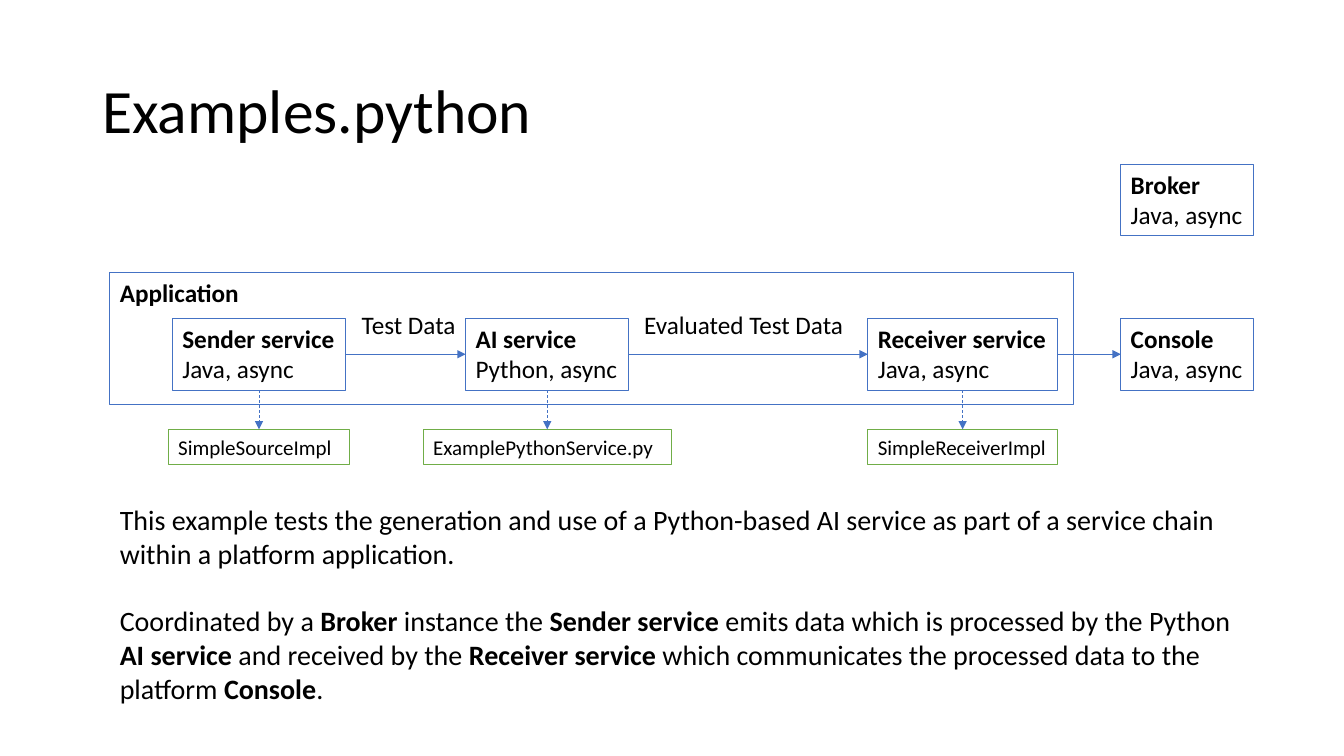
"""Build the Examples.python service chain slide."""
from dataclasses import dataclass
from typing import Any

from lxml.etree import SubElement
from pptx import Presentation
from pptx.dml.color import RGBColor
from pptx.enum.dml import MSO_LINE as Dash
from pptx.enum.shapes import MSO_CONNECTOR as Connector, MSO_SHAPE as Shape
from pptx.enum.text import MSO_ANCHOR as Anchor, PP_ALIGN as Align
from pptx.oxml.ns import qn
from pptx.util import Pt

BLACK = RGBColor(0x00, 0x00, 0x00)
BLUE = RGBColor(0x44, 0x72, 0xC4)
GREEN = RGBColor(0x70, 0xAD, 0x47)

BOTTOM, TOP, LEFT, RIGHT = 2, 0, 1, 3
SERVICE_TOP, SERVICE_HEIGHT = 227.5, 51.1
IMPL_TOP, IMPL_HEIGHT = 306.7, 25.2

Span = tuple[str, bool]


@dataclass(frozen=True)
class Service:
    """A service box with an optional implementation box below it."""
    name: str
    language: str
    left: float
    width: float
    top: float = SERVICE_TOP
    impl: str = ""
    impl_width: float = 0


@dataclass(frozen=True)
class Label:
    """A plain text area."""
    paragraphs: list[list[Span]]
    left: float
    top: float
    width: float
    height: float
    size: float
    wrap: bool = True
    anchor: Any = Anchor.TOP
    line_spacing: float = 1.0
    gap: float = 0


BROKER = Service("Broker", "Java", 800.6, 95, top=117.4)
CHAIN = [
    Service("Sender service", "Java", 123.1, 123.8, impl="SimpleSourceImpl", impl_width=129.6),
    Service("AI service", "Python", 332.6, 116.7, impl="ExamplePythonService.py", impl_width=177.1),
    Service("Receiver service", "Java", 619.9, 135.4, impl="SimpleReceiverImpl", impl_width=135.4),
    Service("Console", "Java", 800.6, 95),
]
LABELS = [
    Label([[("Examples.python", False)]], 66, 28.8, 828, 104.4, 44,
          anchor=Anchor.MIDDLE, line_spacing=0.9),
    Label([[("Test Data", False)]], 251.3, 217.6, 82, 29, 18, wrap=False),
    Label([[("Evaluated Test Data", False)]], 453, 217.6, 158, 29, 18, wrap=False),
    Label([
        [("This example tests the generation and use of a Python-based AI service "
          "as part of a service chain within a platform application.", False)],
        [("Coordinated by a ", False), ("Broker", True), (" instance the ", False),
         ("Sender service", True), (" emits data which is processed by the Python ", False),
         ("AI service", True), (" and received by the ", False), ("Receiver service", True),
         (" which communicates the processed data to the platform ", False),
         ("Console", True), (".", False)],
    ], 78.5, 355.7, 817, 152.6, 20, gap=24),
]


def apply(target: Any, values: dict[str, Any]) -> None:
    """Set each named attribute on the target."""
    for name, value in values.items():
        setattr(target, name, value)


def write(box: Any, paragraphs: list[list[Span]], size: float, wrap: bool = True,
          anchor: Any = Anchor.TOP, line_spacing: float = 1.0, gap: float = 0) -> None:
    """Fill a box with left-aligned paragraphs."""
    frame = box.text_frame
    apply(frame, {"word_wrap": wrap, "vertical_anchor": anchor})
    for index, spans in enumerate(paragraphs):
        para = frame.add_paragraph() if index else frame.paragraphs[0]
        apply(para, {"alignment": Align.LEFT, "line_spacing": line_spacing,
                     "space_before": Pt(gap if index else 0)})
        for text, bold in spans:
            span = para.add_run()
            span.text = text
            apply(span.font, {"name": "Calibri", "size": Pt(size), "bold": bold})
            span.font.color.rgb = BLACK


def add_box(page: Any, left: float, top: float, width: float, height: float,
            colour: RGBColor) -> Any:
    """Add an unfilled outlined rectangle."""
    box = page.shapes.add_shape(Shape.RECTANGLE, Pt(left), Pt(top), Pt(width), Pt(height))
    box.shadow.inherit = False
    box.fill.background()
    box.line.color.rgb = colour
    box.line.width = Pt(0.75)
    return box


def add_label(page: Any, label: Label) -> None:
    """Add a text area."""
    box = page.shapes.add_textbox(Pt(label.left), Pt(label.top), Pt(label.width), Pt(label.height))
    write(box, label.paragraphs, label.size, label.wrap, label.anchor,
          label.line_spacing, label.gap)


def add_arrow(page: Any, start: Any, start_side: int, end: Any, end_side: int,
              dash: Any = None) -> None:
    """Join two boxes with a thin arrow."""
    arrow = page.shapes.add_connector(Connector.STRAIGHT, 0, 0, 0, 0)
    arrow.begin_connect(start, start_side)
    arrow.end_connect(end, end_side)
    arrow.line.color.rgb = BLUE
    apply(arrow.line, {"width": Pt(0.5), "dash_style": dash})
    properties = arrow.line._get_or_add_ln()
    SubElement(properties, qn("a:tailEnd"), type="triangle")
    SubElement(properties.getparent(), qn("a:effectLst"))


def add_service(page: Any, service: Service) -> Any:
    """Add a service box and the implementation centred below it."""
    box = add_box(page, service.left, service.top, service.width, SERVICE_HEIGHT, BLUE)
    write(box, [[(service.name, True)], [(f"{service.language}, async", False)]], 18, wrap=False)
    if service.impl:
        left = service.left + (service.width - service.impl_width) / 2
        impl = add_box(page, left, IMPL_TOP, service.impl_width, IMPL_HEIGHT, GREEN)
        write(impl, [[(service.impl, False)]], 15)
        add_arrow(page, box, BOTTOM, impl, TOP, Dash.DASH)
    return box


def main() -> None:
    """Draw the slide and save it."""
    deck = Presentation()
    apply(deck, {"slide_width": Pt(960), "slide_height": Pt(540)})
    page = deck.slides.add_slide(deck.slide_layouts[6])
    application = add_box(page, 78.5, 194.4, 688.3, 94.3, BLUE)
    write(application, [[("Application", True)]], 18)
    for label in LABELS:
        add_label(page, label)
    add_service(page, BROKER)
    boxes = [add_service(page, service) for service in CHAIN]
    for start, end in zip(boxes, boxes[1:]):
        add_arrow(page, start, RIGHT, end, LEFT)
    deck.save("out.pptx")


if __name__ == "__main__":
    main()
